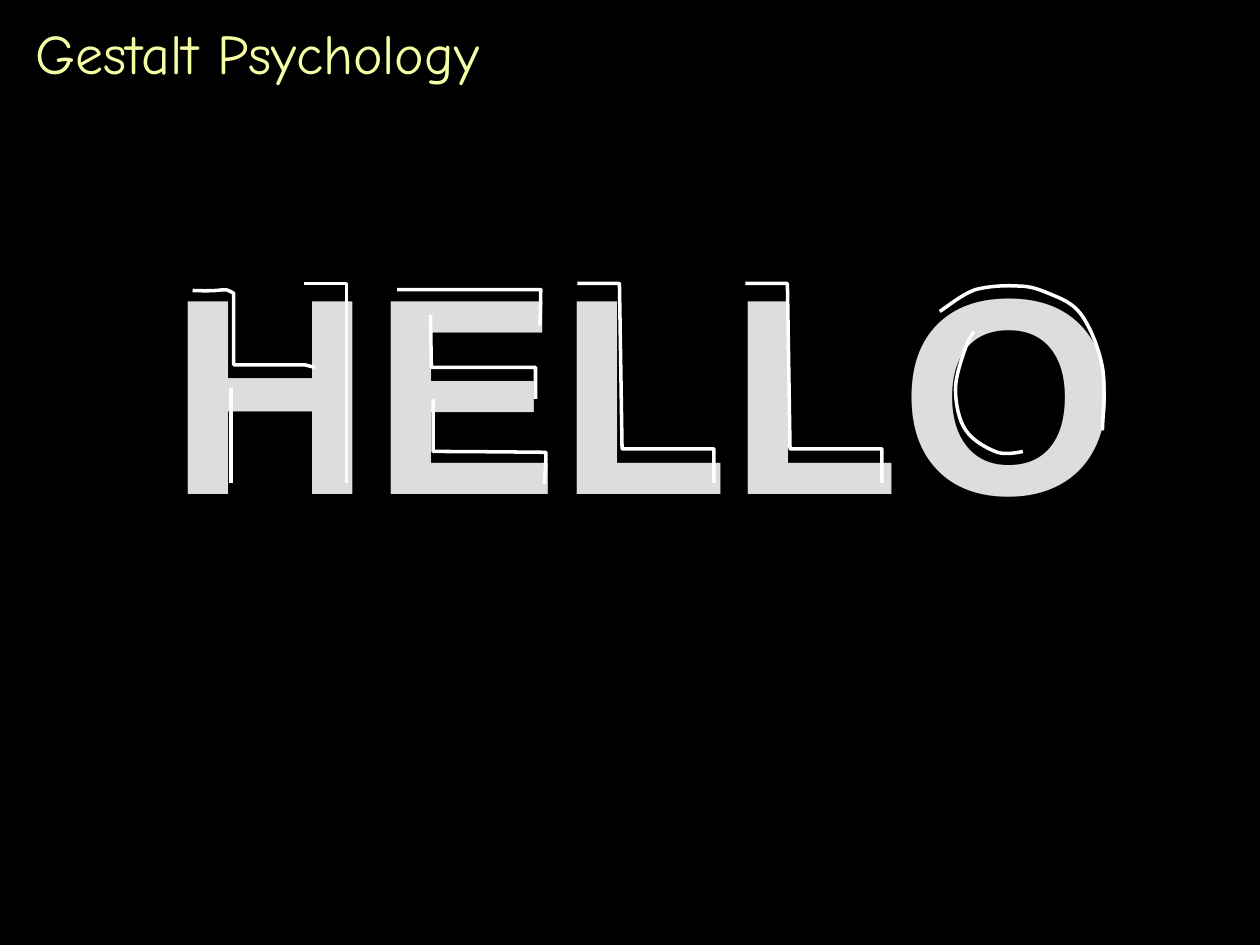
from dataclasses import dataclass

from lxml.etree import SubElement
from pptx import Presentation
from pptx.dml.color import RGBColor
from pptx.enum.shapes import MSO_CONNECTOR
from pptx.enum.text import MSO_ANCHOR, PP_ALIGN
from pptx.oxml.ns import qn
from pptx.util import Pt


@dataclass(frozen=True)
class Theme:
    background: str = "000000"
    title: str = "F5FDA5"
    letters: str = "DDDDDD"
    stroke: str = "FFFFFF"
    title_font: str = "Comic Neue"
    letter_font: str = "Arial"
    title_size: int = 32
    letter_size: int = 160
    stroke_width: int = 2


THEME = Theme()
L_PITCH = 96

# A stroke is a list of steps: (x, y) is a straight line to that point,
# (x1, y1, x2, y2, x, y) a Bezier curve with two control points.
H_STROKES = [
    [(110, 166), (132.5, 167, 125.5, 163.5, 133.5, 167.5), (133.5, 208.5),
     (174, 208.5), (180, 210)],
    [(174, 162), (198, 162), (198, 276)],
]
E_STROKES = [
    [(227, 165.5), (309, 165.5), (309, 172, 308.5, 186, 308.5, 186)],
    [(246, 180), (246.5, 210), (306, 210), (306, 228)],
    [(247.5, 228), (247.5, 258), (268.5, 258, 312, 258.5, 312, 258.5),
     (312, 264.5, 311.5, 270, 311, 276.5)],
]
L_STROKE = [(330, 162), (354, 162), (354.5, 193.5, 355.5, 256.5, 355.5, 256.5),
            (408, 256.5), (408, 276)]
O_STROKES = [
    [(537, 178), (541, 175.5, 550, 168, 557.5, 165.5),
     (565, 163.5, 574.5, 163, 582, 163.5), (589, 163.5, 594, 165.5, 600, 168),
     (606, 170.5, 613, 173, 618, 180), (623, 187, 628, 199, 630, 210),
     (632, 221, 630, 240, 630, 246)],
    [(556.5, 189.5), (556, 190.5, 554, 193, 552, 198),
     (550, 204, 546, 214.5, 546, 222.5), (546, 230.5, 548, 240.5, 552, 246),
     (556, 252, 564.5, 256.5, 570, 258.5), (575, 260, 582, 258.5, 584.5, 258)],
]


def style_line(line):
    line.color.rgb = RGBColor.from_string(THEME.stroke)
    line.width = Pt(THEME.stroke_width)


def bend_curves(sp, steps):
    """Turn the three segments of each curve step into one Bezier curve."""
    segments = iter(list(sp._element.iter(qn("a:lnTo"))))
    for step in steps:
        first = next(segments)
        if len(step) == 6:
            curve = first.makeelement(qn("a:cubicBezTo"))
            first.addprevious(curve)
            for segment in (first, next(segments), next(segments)):
                curve.append(segment[0])
                segment.getparent().remove(segment)


def add_stroke(s, steps, dx=0):
    start, *rest = steps
    points = [(Pt(step[i] + dx), Pt(step[i + 1]))
              for step in rest for i in range(0, len(step), 2)]
    builder = s.shapes.build_freeform(Pt(start[0] + dx), Pt(start[1]), scale=1.0)
    builder.add_line_segments(points, close=False)
    sp = builder.convert_to_shape()
    bend_curves(sp, rest)
    sp.shadow.inherit = False
    sp.fill.background()
    style_line(sp.line)


def add_straight_stroke(s, x1, y1, x2, y2):
    line = s.shapes.add_connector(MSO_CONNECTOR.STRAIGHT,
                                  Pt(x1), Pt(y1), Pt(x2), Pt(y2))
    style_line(line.line)
    SubElement(line._element.spPr, qn("a:effectLst"))


def place(sp, left, top, width, height):
    sp.left, sp.top, sp.width, sp.height = Pt(left), Pt(top), Pt(width), Pt(height)


def write(sp, text, *, font, size, color, bold=False, anchor=MSO_ANCHOR.TOP):
    tf = sp.text_frame
    tf.word_wrap = True
    tf.vertical_anchor = anchor
    p = tf.paragraphs[0]
    p.alignment = PP_ALIGN.LEFT
    r = p.add_run()
    r.text = text
    r.font.name, r.font.size, r.font.bold = font, Pt(size), bold
    r.font.color.rgb = RGBColor.from_string(color)


def main():
    prs = Presentation()
    prs.slide_width, prs.slide_height = Pt(720), Pt(540)
    s = prs.slides.add_slide(prs.slide_layouts[5])
    s.background.fill.solid()
    s.background.fill.fore_color.rgb = RGBColor.from_string(THEME.background)

    title = s.shapes.title
    place(title, 13, 6, 696, 48)
    write(title, "Gestalt Psychology", font=THEME.title_font,
          size=THEME.title_size, color=THEME.title, anchor=MSO_ANCHOR.MIDDLE)

    word = s.shapes.add_textbox(Pt(90), Pt(119), Pt(564), Pt(199.5))
    write(word, "HELLO", font=THEME.letter_font, size=THEME.letter_size,
          color=THEME.letters, bold=True)

    add_straight_stroke(s, 132, 222, 132, 276)
    for steps in H_STROKES + E_STROKES + O_STROKES:
        add_stroke(s, steps)
    for i in range(2):
        add_stroke(s, L_STROKE, dx=i * L_PITCH)

    prs.save("out.pptx")


if __name__ == "__main__":
    main()
